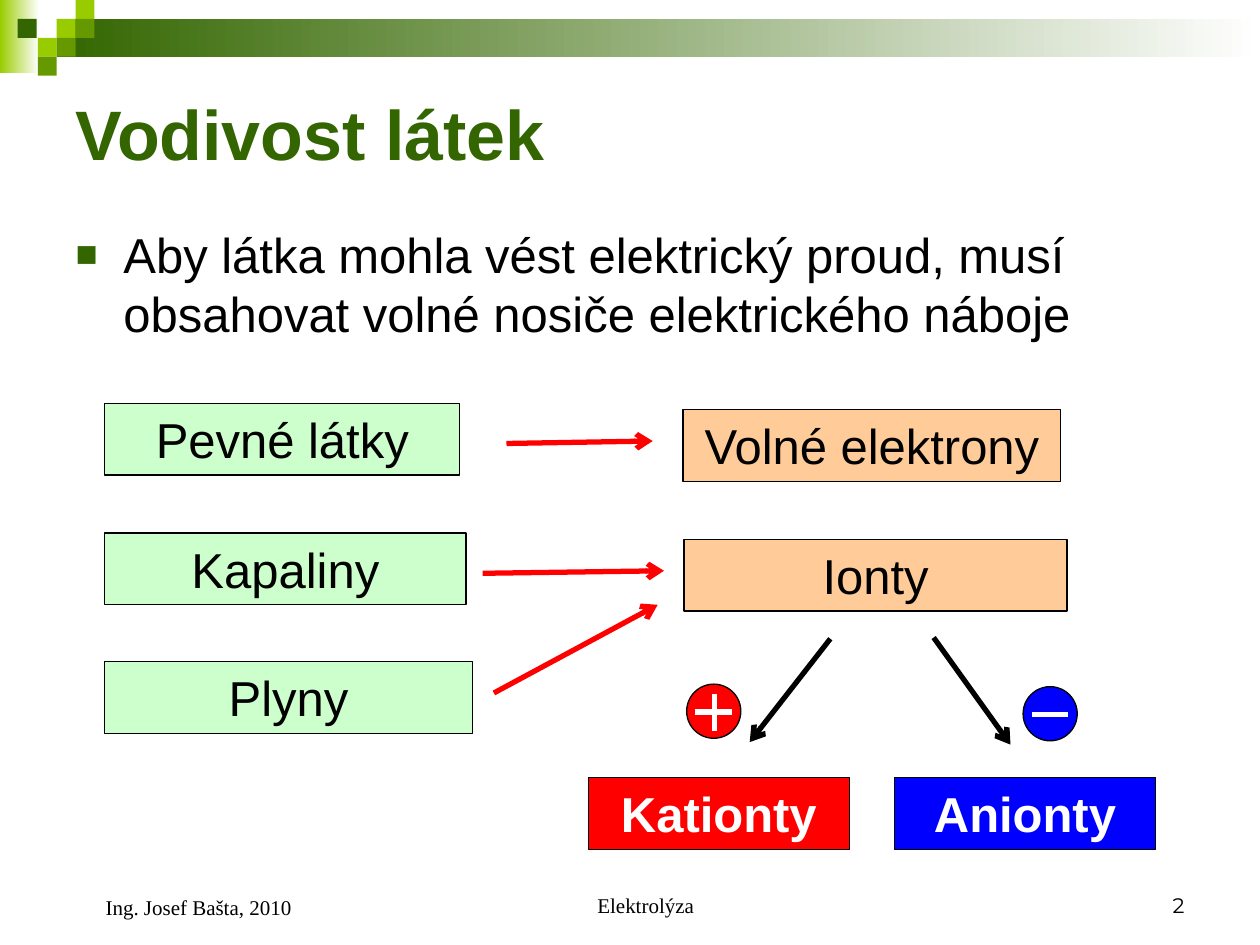
from dataclasses import dataclass

from lxml import etree
from pptx import Presentation
from pptx.dml.color import RGBColor
from pptx.enum import shapes, text
from pptx.oxml import ns
from pptx.util import Emu, Pt

PX = 9144
BLACK, WHITE, RED, BLUE = "000000", "FFFFFF", "FF0000", "0000FF"
DARK, MIDDLE, LIGHT = "336600", "669900", "99CC00"
MINT, PEACH = "CCFFCC", "FFCC99"
LEFT, CENTER, RIGHT = text.PP_ALIGN.LEFT, text.PP_ALIGN.CENTER, text.PP_ALIGN.RIGHT
TOP, MIDDLE_ANCHOR, BOTTOM = (
    text.MSO_ANCHOR.TOP, text.MSO_ANCHOR.MIDDLE, text.MSO_ANCHOR.BOTTOM)


@dataclass(frozen=True)
class Label:
    words: str
    left: int
    top: int
    width: int
    fill: str
    color: str = BLACK
    bold: bool = False
    height: int = 57


@dataclass(frozen=True)
class Line:
    start: tuple[int, int]
    end: tuple[int, int]
    color: str
    arrow: bool = True


@dataclass(frozen=True)
class Footer:
    words: str
    left: int
    width: int
    height: int
    align: text.PP_ALIGN
    font: str
    margin: int = 0


@dataclass(frozen=True)
class Ion:
    left: int
    top: int
    fill: str
    positive: bool


LABELS = [
    Label("Pevné látky", 83, 320, 282, MINT),
    Label("Kapaliny", 83, 423, 287, MINT),
    Label("Plyny", 83, 525, 292, MINT),
    Label("Volné elektrony", 542, 325, 300, PEACH),
    Label("Ionty", 543, 428, 304, PEACH),
    Label("Kationty", 467, 617, 207, RED, WHITE, True),
    Label("Anionty", 710, 617, 207, BLUE, WHITE, True),
]
ARROWS = [
    Line((402, 352), (518, 350), RED),
    Line((383, 455), (527, 453), RED),
    Line((392, 550), (522, 480), RED),
    Line((659, 507), (595, 589), BLACK),
    Line((741, 506), (802, 591), BLACK),
]
IONS = [Ion(545, 543, RED, True), Ion(812, 545, BLUE, False)]
FOOTERS = [
    Footer("Elektrolýza", 342, 317, 50, CENTER, "Times New Roman", 24),
    Footer("2", 717, 233, 50, RIGHT, "Montserrat"),
    Footer("Ing. Josef Bašta, 2010", 50, 233, 52, LEFT, "Times New Roman", 24),
]
SQUARES = [
    (45, 15, LIGHT), (60, 0, LIGHT), (60, 15, MIDDLE), (30, 30, LIGHT),
    (14, 15, DARK), (45, 30, MIDDLE), (30, 45, MIDDLE),
]


def px(*lengths: int) -> list[Emu]:
    return [Emu(length * PX) for length in lengths]


def rgb(color: str) -> RGBColor:
    return RGBColor.from_string(color)


def apply(target, values: dict) -> None:
    for name, value in values.items():
        setattr(target, name, value)


def write(box, words: str, font: str, size: int, color: str, align=LEFT,
          anchor=TOP, bold=False, fit=text.MSO_AUTO_SIZE.NONE):
    left, top = px(10, 5)
    apply(box.text_frame, dict(
        word_wrap=True, auto_size=fit, vertical_anchor=anchor,
        margin_left=left, margin_right=left, margin_top=top, margin_bottom=top))
    para = box.text_frame.paragraphs[0]
    apply(para, dict(alignment=align, space_before=Pt(0)))
    span = para.add_run()
    span.text = words
    apply(span.font, dict(name=font, size=Pt(size), bold=bold))
    span.font.color.rgb = rgb(color)
    return para


def indent(para, margin: int, first: int = 0):
    properties = para._p.get_or_add_pPr()
    properties.set("marL", str(margin * PX))
    properties.set("indent", str(first * PX))
    return properties


def add_bullet(para) -> None:
    properties = indent(para, 38, -38)
    color = etree.SubElement(properties, ns.qn("a:buClr"))
    etree.SubElement(color, ns.qn("a:srgbClr"), val=DARK)
    etree.SubElement(properties, ns.qn("a:buSzPct"), val="75000")
    etree.SubElement(properties, ns.qn("a:buFont"), typeface="Arial")
    etree.SubElement(properties, ns.qn("a:buChar"), char="■")


def draw_shape(page, kind, place: tuple[int, ...], fill: str, outlined=False):
    shape = page.shapes.add_shape(kind, *px(*place))
    shape.shadow.inherit = False
    shape.fill.solid()
    shape.fill.fore_color.rgb = rgb(fill)
    if outlined:
        shape.line.color.rgb = rgb(BLACK)
        shape.line.width = Pt(0.75)
    else:
        shape.line.fill.background()
    return shape


def draw_fade(page, place: tuple[int, ...], color: str) -> None:
    shape = draw_shape(page, shapes.MSO_SHAPE.RECTANGLE, place, color)
    shape.fill.gradient()
    shape.fill.gradient_angle = 0
    for stop, shade in zip(shape.fill.gradient_stops, (color, WHITE)):
        stop.color.rgb = rgb(shade)


def draw_label(page, label: Label) -> None:
    place = (label.left, label.top, label.width, label.height)
    box = draw_shape(page, shapes.MSO_SHAPE.RECTANGLE, place, label.fill, True)
    write(box, label.words, "Arial", 28, label.color, CENTER, bold=label.bold,
          fit=text.MSO_AUTO_SIZE.SHAPE_TO_FIT_TEXT)


def draw_line(page, line: Line) -> None:
    connector = page.shapes.add_connector(
        shapes.MSO_CONNECTOR.STRAIGHT, *px(*line.start, *line.end))
    connector.line.color.rgb = rgb(line.color)
    connector.line.width = Pt(3)
    if line.arrow:
        etree.SubElement(connector.line._get_or_add_ln(), ns.qn("a:tailEnd"), type="arrow")
    etree.SubElement(connector._element.spPr, ns.qn("a:effectLst"))


def draw_ion(page, ion: Ion) -> None:
    draw_shape(page, shapes.MSO_SHAPE.OVAL, (ion.left, ion.top, 43, 43), ion.fill, True)
    x, y = ion.left + 22, ion.top + 22
    draw_line(page, Line((x - 15, y), (x + 14, y), WHITE, False))
    if ion.positive:
        draw_line(page, Line((x, y - 14), (x, y + 15), WHITE, False))


def draw_footer(page, footer: Footer) -> None:
    box = page.shapes.add_textbox(*px(footer.left, 683, footer.width, footer.height))
    para = write(box, footer.words, footer.font, 12, BLACK, footer.align, BOTTOM)
    indent(para, footer.margin)


def place_box(box, *place: int) -> None:
    apply(box, dict(zip(("left", "top", "width", "height"), px(*place))))


def main() -> None:
    deck = Presentation()
    deck.slide_width, deck.slide_height = px(1000, 750)
    page = deck.slides.add_slide(deck.slide_layouts[1])
    draw_fade(page, (0, 0, 31, 58), LIGHT)
    draw_fade(page, (45, 15, 955, 30), DARK)
    for left, top, color in SQUARES:
        draw_shape(page, shapes.MSO_SHAPE.RECTANGLE, (left, top, 15, 15), color)

    title, body = page.placeholders
    place_box(title, 50, 50, 900, 110)
    write(title, "Vodivost látek", "Arial", 40, DARK, anchor=MIDDLE_ANCHOR, bold=True)
    place_box(body, 50, 173, 900, 120)
    add_bullet(write(
        body, "Aby látka mohla vést elektrický proud, musí obsahovat volné "
        "nosiče elektrického náboje", "Arial", 28, BLACK))

    for draw, items in ((draw_label, LABELS), (draw_line, ARROWS),
                        (draw_ion, IONS), (draw_footer, FOOTERS)):
        for item in items:
            draw(page, item)
    deck.save("out.pptx")


if __name__ == "__main__":
    main()
